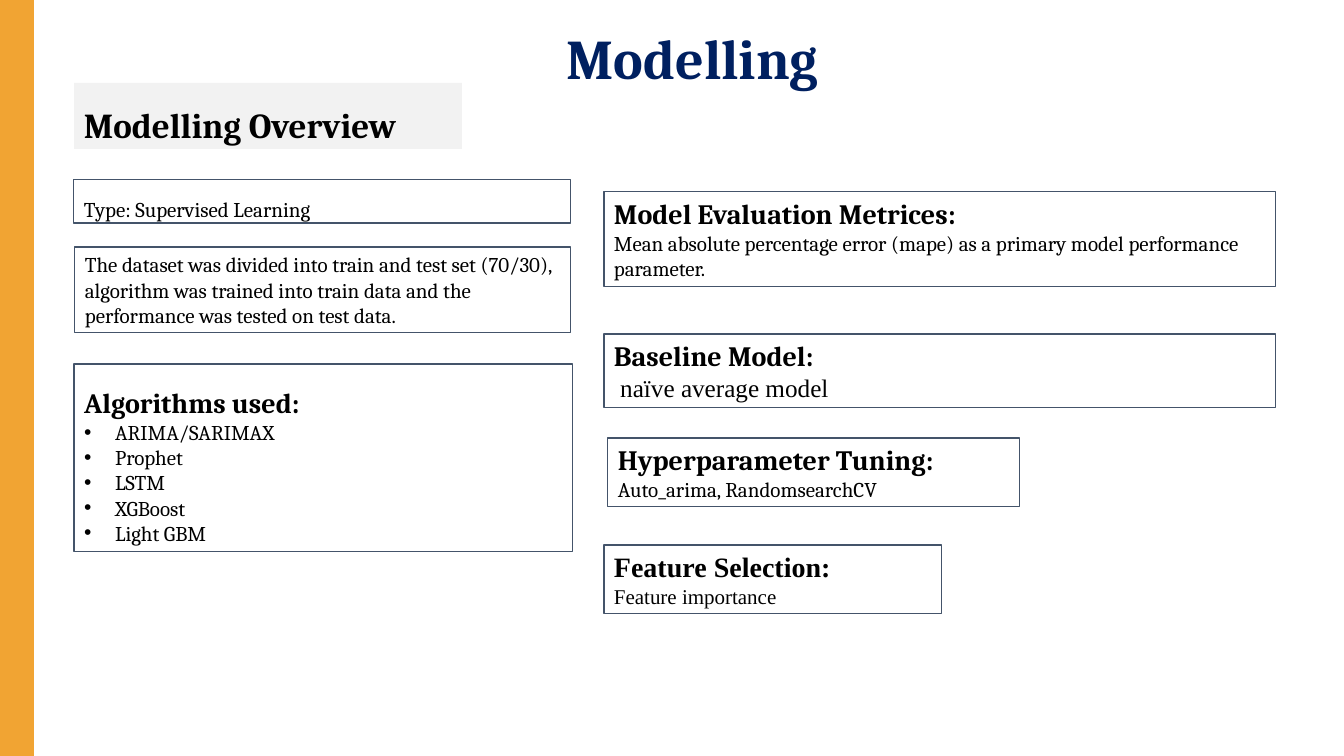
from lxml.etree import SubElement
from pptx import Presentation
from pptx.dml.color import RGBColor
from pptx.enum.shapes import MSO_SHAPE as Shape
from pptx.enum.text import MSO_ANCHOR as Anchor, MSO_AUTO_SIZE as Fit, PP_ALIGN as Align
from pptx.oxml.ns import qn
from pptx.util import Emu, Pt

SCALE = 914400 / 100.8
WIDE, HIGH = 1344, 756
LEFT, RIGHT = 74, 604
SPAN, BROAD = 497, 672
INDENT = 31

ORANGE, NAVY, SLATE = "F1A433", "002060", "44546A"
WHITE, GREY, BLACK = "FFFFFF", "F2F2F2", "000000"
SERIF, ROMAN = "Cambria", "Times New Roman"

HEAD = {"size": 20, "bold": True}
LOOSE = {"align": Align.JUSTIFY, "space": 1.5}

MODELS = ("ARIMA/SARIMAX", "Prophet", "LSTM", "XGBoost", "Light GBM")
CARDS = (
    ((RIGHT, 192, BROAD, 95), "Model Evaluation Metrices:", SERIF,
     "Mean absolute percentage error (mape) as a primary model performance parameter.",
     SERIF, 15),
    ((RIGHT, 334, BROAD, 74), "Baseline Model:", SERIF,
     " naïve average model", ROMAN, 18),
    ((RIGHT + 4, 438, 412, 69), "Hyperparameter Tuning:", SERIF,
     "Auto_arima, RandomsearchCV", SERIF, 15),
    ((RIGHT, 545, 338, 69), "Feature Selection:", ROMAN,
     "Feature importance", ROMAN, 15),
)


def px(n):
    return Emu(round(n * SCALE))


def paint(color, value):
    color.rgb = RGBColor.from_string(value)


def flood(shape, value):
    shape.fill.solid()
    paint(shape.fill.fore_color, value)


def write(frame, text, size=15, font=SERIF, color=BLACK, bold=False,
          align=Align.LEFT, space=1.0, bullet=False):
    para = frame.add_paragraph() if frame.text else frame.paragraphs[0]
    para.alignment = align
    para.line_spacing = space
    para.space_before = Pt(0)
    props = para._p.get_or_add_pPr()
    indent = px(INDENT) if bullet else 0
    props.set("marL", str(indent))
    props.set("indent", str(-indent))
    mark = SubElement(props, qn("a:buChar" if bullet else "a:buNone"))
    if bullet:
        mark.set("char", "•")
    run = para.add_run()
    run.text = text
    run.font.size = Pt(size)
    run.font.name = font
    run.font.bold = bold
    paint(run.font.color, color)


def place(shape, area, fill=None, line=None, anchor=Anchor.TOP):
    shape.left, shape.top, shape.width, shape.height = map(px, area)
    if fill:
        flood(shape, fill)
    if line:
        paint(shape.line.color, line)
        shape.line.width = Pt(0.75)
    frame = shape.text_frame
    frame.word_wrap = True
    frame.auto_size = Fit.NONE
    frame.vertical_anchor = anchor
    return frame


def box(slide, area, fill=None, line=SLATE):
    return place(slide.shapes.add_textbox(0, 0, 0, 0), area, fill, line)


def stripe(slide):
    bar = slide.shapes.add_shape(Shape.RECTANGLE, 0, 0, px(34), px(HIGH))
    bar.shadow.inherit = False
    flood(bar, ORANGE)
    bar.line.fill.background()


def banner(title):
    frame = place(title, (66, 27, 1253, 68), fill=WHITE, anchor=Anchor.MIDDLE)
    write(frame, "Modelling", size=40, color=NAVY, bold=True,
          align=Align.CENTER, space=0.9)


def label(slide):
    frame = box(slide, (LEFT, 83, 388, 66), fill=GREY, line=None)
    frame.margin_top = 0
    write(frame, "Modelling Overview", size=25, bold=True, **LOOSE)


def roster(body):
    frame = place(body, (LEFT, 364, SPAN + 2, 188), line=SLATE)
    write(frame, "Algorithms used:", **HEAD, **LOOSE)
    for name in MODELS:
        write(frame, name, align=Align.JUSTIFY, bullet=True)


def card(slide, area, head, face, text, font, size):
    frame = box(slide, area)
    write(frame, head, font=face, **HEAD)
    write(frame, text, font=font, size=size)


def main():
    deck = Presentation()
    deck.slide_width, deck.slide_height = px(WIDE), px(HIGH)
    slide = deck.slides.add_slide(deck.slide_layouts[1])
    title, body = slide.placeholders

    stripe(slide)
    banner(title)
    label(slide)
    write(box(slide, (LEFT, 179, SPAN, 44)), "Type: Supervised Learning", **LOOSE)
    write(box(slide, (LEFT + 1, 247, SPAN - 1, 86)),
          "The dataset was divided into train and test set (70/30), algorithm was "
          "trained into train data and the performance was tested on test data.")
    roster(body)
    for item in CARDS:
        card(slide, *item)

    deck.save("out.pptx")


main()
